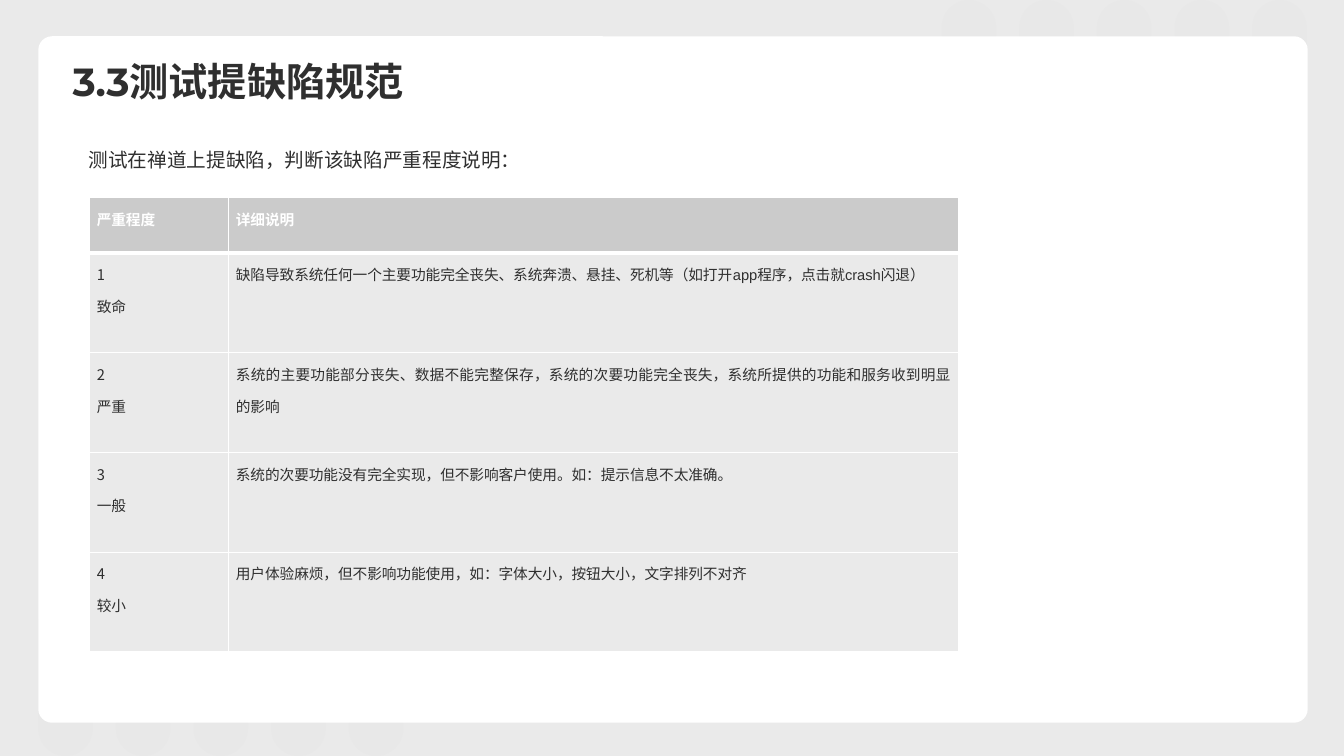
from lxml.etree import SubElement
from pptx import Presentation
from pptx.dml.color import RGBColor
from pptx.enum.shapes import MSO_SHAPE as Preset
from pptx.enum.text import MSO_ANCHOR as Anchor, PP_ALIGN as Align
from pptx.oxml.ns import qn
from pptx.util import Inches, Pt

CJK = "Noto Sans CJK SC"
INK, WHITE, PALE, HEADER, PILL = "2F2F2F", "FFFFFF", "EAEAEA", "CBCBCB", "D9D9D9"

LEVELS = [
    ("严重程度", "详细说明"),
    ("1\n致命", "缺陷导致系统任何一个主要功能完全丧失、系统奔溃、悬挂、死机等（如打开app程序，点击就crash闪退）"),
    ("2\n严重", "系统的主要功能部分丧失、数据不能完整保存，系统的次要功能完全丧失，系统所提供的功能和服务收到明显的影响"),
    ("3\n一般", "系统的次要功能没有完全实现，但不影响客户使用。如：提示信息不太准确。"),
    ("4\n较小", "用户体验麻烦，但不影响功能使用，如：字体大小，按钮大小，文字排列不对齐"),
]


def color(hex_text):
    return RGBColor.from_string(hex_text)


def paint(target, hex_text):
    target.fill.solid()
    target.fill.fore_color.rgb = color(hex_text)


def assign(target, values):
    for key, value in values.items():
        setattr(target, key, value)


class SlideBuilder:
    def __init__(self, slide):
        self.slide = slide
        self.shapes = slide.shapes

    def background(self, fill):
        paint(self.slide.background, fill)

    def rounded(self, box, fill, radius, rotation=0, alpha=None):
        shape = self.shapes.add_shape(Preset.ROUNDED_RECTANGLE, *map(Inches, box))
        shape.rotation = rotation
        shape.shadow.inherit = False
        shape.adjustments[0] = radius
        paint(shape, fill)
        shape.line.fill.background()
        if alpha is not None:
            tone = next(shape.element.spPr.iter(qn("a:srgbClr")))
            SubElement(tone, qn("a:alpha"), val=str(alpha * 1000))

    def typeset(self, frame, text, size, latin, ink=INK, bold=False, **layout):
        for index, line in enumerate(text.split("\n")):
            paragraph = frame.add_paragraph() if index else frame.paragraphs[0]
            assign(paragraph, layout)
            run = paragraph.add_run()
            run.text = line
            assign(run.font, {"size": Pt(size), "name": latin, "bold": bold})
            run.font.color.rgb = color(ink)
            SubElement(run.font._element, qn("a:ea"), typeface=CJK)

    def title(self, box, text):
        heading = self.shapes.title
        heading.element.getparent().append(heading.element)
        assign(heading, dict(zip(("left", "top", "width", "height"), map(Inches, box))))
        assign(heading.text_frame, {"word_wrap": False, "vertical_anchor": Anchor.MIDDLE})
        self.typeset(heading.text_frame, text, 28, "Montserrat", bold=True,
                     alignment=Align.LEFT, line_spacing=0.9)

    def text(self, box, text):
        frame = self.shapes.add_textbox(*map(Inches, box)).text_frame
        frame.word_wrap = True
        self.typeset(frame, text, 14, "Arial")

    def border(self, cell, widths):
        properties = cell._tc.get_or_add_tcPr()
        for side, width in widths.items():
            line = SubElement(properties, qn(f"a:ln{side}"), w=str(Pt(width)))
            SubElement(SubElement(line, qn("a:solidFill")), qn("a:srgbClr"), val=WHITE)

    def table(self, box, rows, widths, heights):
        table = self.shapes.add_table(len(rows), len(widths), *map(Inches, box)).table
        table.horz_banding = False
        for column, width in zip(table.columns, widths):
            column.width = Inches(width)
        for row, height in zip(table.rows, heights):
            row.height = Inches(height)
        for r, texts in enumerate(rows):
            head = r == 0
            for c, text in enumerate(texts):
                cell = table.cell(r, c)
                assign(cell, {"margin_left": Inches(0.07), "margin_right": Inches(0.07),
                              "margin_top": 0, "margin_bottom": 0,
                              "vertical_anchor": Anchor.TOP})
                self.border(cell, {"L": 1, "R": 1, "T": 3 if r == 1 else 1,
                                   "B": 3 if head else 1})
                paint(cell, HEADER if head else PALE)
                self.typeset(cell.text_frame, text, 10.5,
                             "Arial" if (r, c) == (1, 1) else CJK,
                             WHITE if head else INK, head,
                             alignment=Align.JUSTIFY, line_spacing=1.5)


def main():
    deck = Presentation()
    assign(deck, {"slide_width": Inches(13.33), "slide_height": Inches(7.5)})
    page = SlideBuilder(deck.slides.add_slide(deck.slide_layouts[5]))
    page.background(PALE)
    for start, top in ((-0.15, 6.43), (8.81, 0.53)):
        for step in range(5):
            page.rounded((start + 0.77 * step, top, 1.6, 0.54), PILL, 0.5, 270, 10)
    page.rounded((0.38, 0.36, 12.59, 6.81), WHITE, 0.02)
    page.title((0.62, 0.58, 3.9, 0.5), "3.3测试提缺陷规范")
    page.text((0.78, 1.42, 7.37, 0.38), "测试在禅道上提缺陷，判断该缺陷严重程度说明：")
    page.table((0.89, 1.96, 8.62, 4.51), LEVELS, (1.38, 7.24), [0.55] + [0.99] * 4)
    deck.save("out.pptx")


if __name__ == "__main__":
    main()
